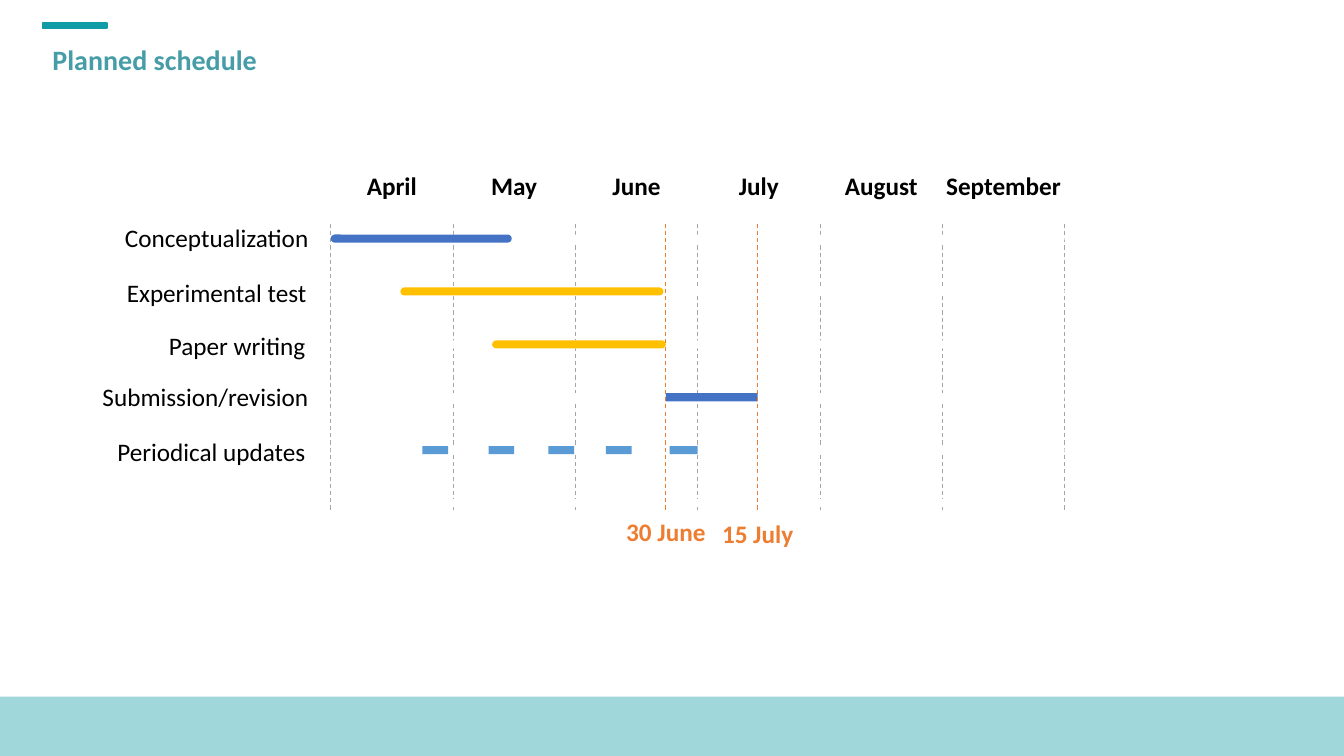
from dataclasses import dataclass

from lxml.etree import SubElement
from pptx import Presentation
from pptx.dml.color import RGBColor as RGB
from pptx.enum.dml import MSO_LINE_DASH_STYLE as Dash
from pptx.enum.shapes import MSO_CONNECTOR as Conn, MSO_SHAPE as Shape
from pptx.enum.text import MSO_ANCHOR as Anchor, MSO_AUTO_SIZE as Auto, PP_ALIGN as Align
from pptx.oxml.ns import qn
from pptx.util import Inches, Pt


@dataclass(frozen=True)
class Theme:
    """Colours and type sizes of the slide."""
    font: str = "Calibri"
    title_size: int = 20
    text_size: int = 18
    title: str = "469DA8"
    teal: str = "0F9CA7"
    text: str = "000000"
    track: str = "FFFFFF"
    grid: str = "A5A5A5"
    blue: str = "4472C4"
    gold: str = "FFC000"
    sky: str = "5B9BD5"
    deadline: str = "ED7D31"


@dataclass(frozen=True)
class Grid:
    """A box in inches divided into month columns and task rows."""
    left: float
    top: float
    width: float
    height: float
    cols: int
    rows: float

    def x(self, col):
        """Return the horizontal place of a column position."""
        return self.left + self.width * col / self.cols

    def y(self, row):
        """Return the vertical place of a row position."""
        return self.top + self.height * row / self.rows


THEME = Theme()
WIDTH, HEIGHT = 13.33, 7.5
FIRST_ROW = 0.28
BAR_HEIGHT = 0.08
MONTHS = ["April", "May", "June", "July", "August", "September"]
TASKS = [
    ("Conceptualization", 3.06, 1, Shape.ROUNDED_RECTANGLE, THEME.blue, [(0, 1.48)]),
    ("Experimental test", 3.04, 1.15, Shape.ROUNDED_RECTANGLE, THEME.gold, [(0.57, 2.72)]),
    ("Paper writing", 3.03, 1.15, Shape.ROUNDED_RECTANGLE, THEME.gold, [(1.32, 2.74)]),
    ("Submission/revision", 3.06, 1, Shape.RECTANGLE, THEME.blue, [(2.74, 3.49)]),
    ("Periodical updates", 3.03, 1.15, Shape.RECTANGLE, THEME.sky,
     [(0.75, 0.96), (1.29, 1.5), (1.78, 1.99), (2.25, 2.46), (2.77, 3)]),
]
DEADLINES = [("30 June", 2.74, 5.12), ("15 July", 3.49, 5.14)]


def apply(target, values):
    """Set each named attribute of the target."""
    for name, value in values.items():
        setattr(target, name, value)


def style_text(tf, text, color, size=THEME.text_size, bold=False, frame=None, para=None):
    """Write one formatted paragraph into a text frame."""
    apply(tf, {"word_wrap": True, "auto_size": Auto.NONE, **(frame or {})})
    p = tf.paragraphs[0]
    apply(p, para or {})
    r = p.add_run()
    r.text = text
    apply(r.font, {"name": THEME.font, "size": Pt(size), "bold": bold})
    r.font.color.rgb = RGB.from_string(color)


def add_label(s, box, text, color, bold, align, anchor=Anchor.TOP, spacing=1):
    """Add a text box without margins."""
    sp = s.shapes.add_textbox(*map(Inches, box))
    frame = dict.fromkeys(["margin_left", "margin_top", "margin_right", "margin_bottom"], 0)
    style_text(sp.text_frame, text, color, bold=bold,
               frame={**frame, "vertical_anchor": anchor},
               para={"alignment": align, "line_spacing": spacing})


def add_block(s, kind, box, color):
    """Add a plain filled shape."""
    sp = s.shapes.add_shape(kind, *map(Inches, box))
    sp.shadow.inherit = False
    sp.fill.solid()
    sp.fill.fore_color.rgb = RGB.from_string(color)
    sp.line.fill.background()
    if kind == Shape.ROUNDED_RECTANGLE:
        sp.adjustments[0] = 0.5
    return sp


def add_rule(s, x, top, bottom, color):
    """Add a dashed vertical line."""
    line = s.shapes.add_connector(Conn.STRAIGHT, *map(Inches, (x, top, x, bottom)))
    apply(line.line, {"width": Pt(0.75), "dash_style": Dash.DASH})
    line.line.color.rgb = RGB.from_string(color)
    SubElement(line._element.spPr, qn("a:effectLst"))


def add_decor(s):
    """Add the accent bar at the top and the pale band at the bottom."""
    accent = add_block(s, Shape.RECTANGLE, (0.42, 0.23, 0.64, 0.05), THEME.teal)
    accent.line.color.rgb = RGB.from_string(THEME.teal)
    accent.line.width = Pt(1)
    band = add_block(s, Shape.RECTANGLE, (0, 6.91, WIDTH, HEIGHT - 6.91), THEME.teal)
    color = band._element.spPr.find(qn("a:solidFill"))[0]
    SubElement(color, qn("a:alpha"), val="40000")


def add_title(s, box, text):
    """Place and fill the title placeholder."""
    sp = s.shapes.title
    apply(sp, dict(zip(("left", "top", "width", "height"), map(Inches, box))))
    style_text(sp.text_frame, text, THEME.title, THEME.title_size, True,
               {"vertical_anchor": Anchor.MIDDLE},
               {"alignment": Align.LEFT, "line_spacing": 0.9})


def add_months(s, grid):
    """Add the month lines and their headings."""
    for col in range(grid.cols + 1):
        add_rule(s, grid.x(col), grid.top, grid.top + grid.height, THEME.grid)
    for col, month in enumerate(MONTHS):
        box = (grid.x(col), grid.top - 0.53, grid.width / grid.cols, 0.25)
        add_label(s, box, month, THEME.text, True, Align.CENTER)


def add_bar(s, grid, kind, row, span, color):
    """Add a bar over a span of months, centred on a row."""
    left, right = map(grid.x, span)
    top = grid.y(row + FIRST_ROW) - BAR_HEIGHT / 2
    add_block(s, kind, (left, top, right - left, BAR_HEIGHT), color)


def add_tasks(s, grid):
    """Add the tracks, task labels and task bars."""
    for row in range(len(TASKS) + 1):
        add_bar(s, grid, Shape.ROUNDED_RECTANGLE, row, (0, grid.cols), THEME.track)
    for row, (name, right, spacing, kind, color, spans) in enumerate(TASKS):
        box = (right - 2.1, grid.y(row + FIRST_ROW) - 0.15, 2.1, 0.28)
        add_label(s, box, name, THEME.text, False, Align.RIGHT, Anchor.MIDDLE, spacing)
        for span in spans:
            add_bar(s, grid, kind, row, span, color)


def add_deadlines(s, grid):
    """Add the deadline lines and their dates."""
    width = grid.width / grid.cols
    for date, col, top in DEADLINES:
        x = grid.x(col)
        add_rule(s, x, grid.top, grid.top + grid.height, THEME.deadline)
        add_label(s, (x - width / 2, top, width, 0.89), date, THEME.deadline, True, Align.CENTER)


def main():
    """Build and save the schedule slide."""
    prs = Presentation()
    apply(prs, {"slide_width": Inches(WIDTH), "slide_height": Inches(HEIGHT)})
    s = prs.slides.add_slide(prs.slide_layouts[5])
    grid = Grid(3.28, 2.22, 7.28, 2.86, len(MONTHS), 5.45)
    add_decor(s)
    add_title(s, (0.42, 0.4, 12.48, 0.41), "Planned schedule")
    for add_part in (add_months, add_tasks, add_deadlines):
        add_part(s, grid)
    prs.save("out.pptx")


if __name__ == "__main__":
    main()
